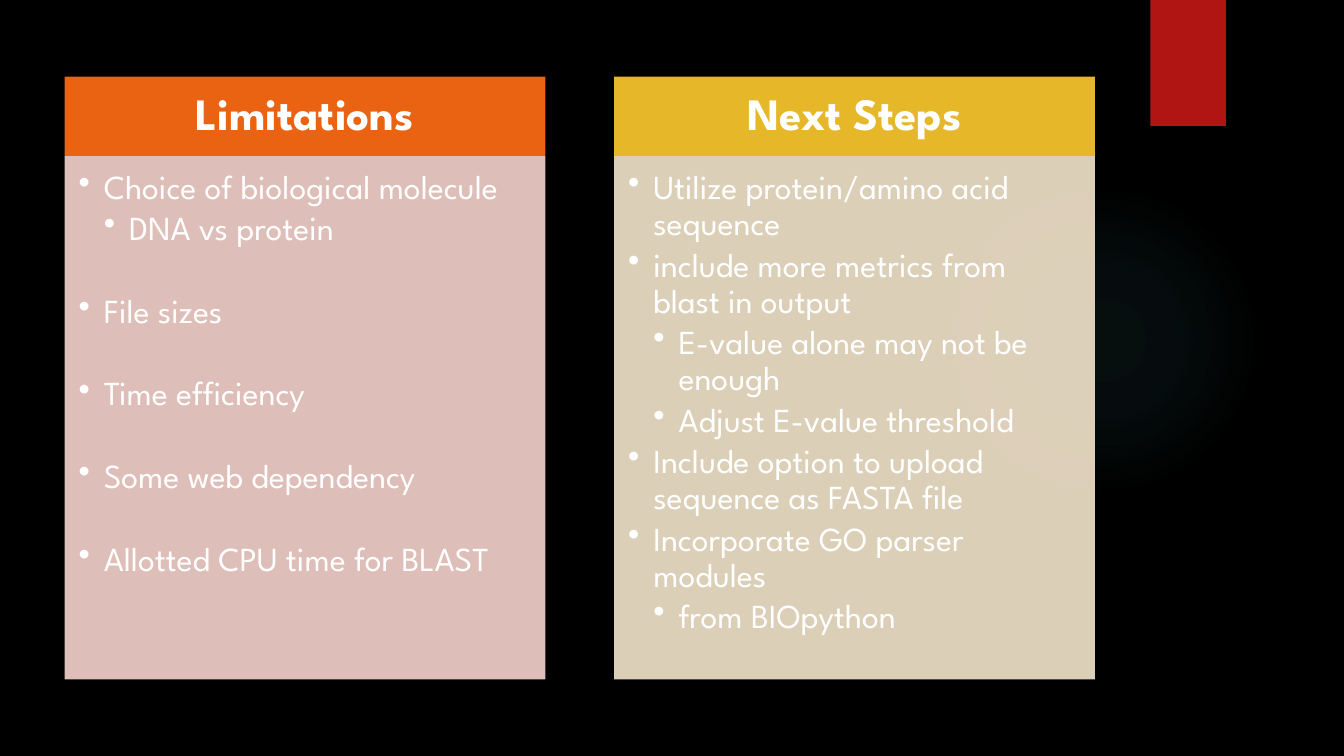
from lxml import etree
from pptx import Presentation
from pptx.dml.color import RGBColor
from pptx.enum.shapes import MSO_SHAPE
from pptx.enum.text import MSO_ANCHOR, PP_ALIGN
from pptx.oxml import parse_xml
from pptx.oxml.ns import nsdecls, qn
from pptx.util import Inches, Pt

BLACK = RGBColor(0x00, 0x00, 0x00)
WHITE = RGBColor(0xFF, 0xFF, 0xFF)
RED = RGBColor(0xB0, 0x15, 0x13)
ORANGE = RGBColor(0xEA, 0x63, 0x12)
GOLD = RGBColor(0xE6, 0xB7, 0x29)
PALE_ORANGE = RGBColor(0xF7, 0xD3, 0xCC)
PALE_GOLD = RGBColor(0xF5, 0xE6, 0xCD)
GLOW = RGBColor(0x50, 0xB9, 0xC1)

FONT = "League Spartan"
TOP, WIDTH, HEADER_HEIGHT, BODY_HEIGHT = 0.76, 4.77, 0.79, 5.19
ITEM_GAP = 29.5  # points of extra space, one line, between separate topics

# Each item: text, level, extra space before in points
COLUMNS = [
    (0.64, "Limitations", ORANGE, PALE_ORANGE, [
        ("Choice of biological molecule", 1, 0),
        ("DNA vs protein", 2, 0),
        ("File sizes", 1, ITEM_GAP),
        ("Time efficiency", 1, ITEM_GAP),
        ("Some web dependency", 1, ITEM_GAP),
        ("Allotted CPU time for BLAST", 1, ITEM_GAP),
    ]),
    (6.09, "Next Steps", GOLD, PALE_GOLD, [
        ("Utilize protein/amino acid sequence", 1, 0),
        ("include more metrics from blast in output", 1, 0),
        ("E-value alone may not be enough", 2, 0),
        ("Adjust E-value threshold", 2, 0),
        ("Include option to upload sequence as FASTA file", 1, 0),
        ("Incorporate GO parser modules", 1, 0),
        ("from BIOpython", 2, 0),
    ]),
]

deck = Presentation()
deck.slide_width, deck.slide_height = Inches(13.33), Inches(7.5)
page = deck.slides.add_slide(deck.slide_layouts[6])
page.background.fill.solid()
page.background.fill.fore_color.rgb = BLACK


def add_panel(kind, left, top, width, height, color, margins=(0, 0, 0, 0)):
    panel = page.shapes.add_shape(kind, Inches(left), Inches(top), Inches(width), Inches(height))
    panel.shadow.inherit = False
    panel.fill.solid()
    panel.fill.fore_color.rgb = color
    panel.line.fill.background()
    frame = panel.text_frame
    frame.word_wrap = True
    frame.margin_left, frame.margin_top, frame.margin_right, frame.margin_bottom = map(Inches, margins)
    return panel


def format_text(para, size, space_after, bold=False):
    para.line_spacing = 0.9
    para.space_after = Pt(space_after)
    for span in para.runs:
        span.font.name = FONT
        span.font.size = Pt(size)
        span.font.bold = bold
        span.font.color.rgb = WHITE


# Soft glow behind the columns
glow = add_panel(MSO_SHAPE.OVAL, 9.41, 1.83, 3.08, 3.08, GLOW)
stops = "".join(
    f'<a:gs pos="{position * 1000}"><a:srgbClr val="{GLOW}"><a:alpha val="{alpha * 1000}"/></a:srgbClr></a:gs>'
    for position, alpha in [(0, 7), (36, 6), (69, 0)])
solid_fill = glow._element.spPr.find(qn("a:solidFill"))
solid_fill.getparent().replace(solid_fill, parse_xml(
    f'<a:gradFill {nsdecls("a")}><a:gsLst>{stops}</a:gsLst><a:path path="circle">'
    '<a:fillToRect l="50000" t="50000" r="50000" b="50000"/></a:path></a:gradFill>'))

# Red tab at the top edge
add_panel(MSO_SHAPE.RECTANGLE, 11.41, 0, 0.75, 1.25, RED)

for left, heading, header_color, body_color, items in COLUMNS:
    # Column header
    header = add_panel(MSO_SHAPE.RECTANGLE, left, TOP, WIDTH, HEADER_HEIGHT,
                       header_color, (0.25, 0.14, 0.25, 0.14))
    header.text_frame.vertical_anchor = MSO_ANCHOR.MIDDLE
    header.text_frame.text = heading
    title = header.text_frame.paragraphs[0]
    title.alignment = PP_ALIGN.CENTER
    format_text(title, 32, 11.2, bold=True)

    # Translucent column body
    body = add_panel(MSO_SHAPE.RECTANGLE, left, TOP + HEADER_HEIGHT, WIDTH, BODY_HEIGHT,
                     body_color, (0.14, 0.14, 0.19, 0.21))
    color_element = body._element.spPr.find(qn("a:solidFill"))[0]
    etree.SubElement(color_element, qn("a:alpha")).set("val", "90000")
    body.text_frame.vertical_anchor = MSO_ANCHOR.TOP
    body.text_frame.text = "\n".join(text for text, level, gap in items)

    # Bulleted items
    for para, (text, level, gap) in zip(body.text_frame.paragraphs, items):
        para.alignment = PP_ALIGN.LEFT
        para.level = level
        properties = para._p.get_or_add_pPr()
        properties.set("marL", str(Inches(0.25 * level)))
        properties.set("indent", str(Inches(-0.25)))
        etree.SubElement(properties, qn("a:buChar")).set("char", "•")
        para.space_before = Pt(gap)
        format_text(para, 24, 3.6)

deck.save("out.pptx")
